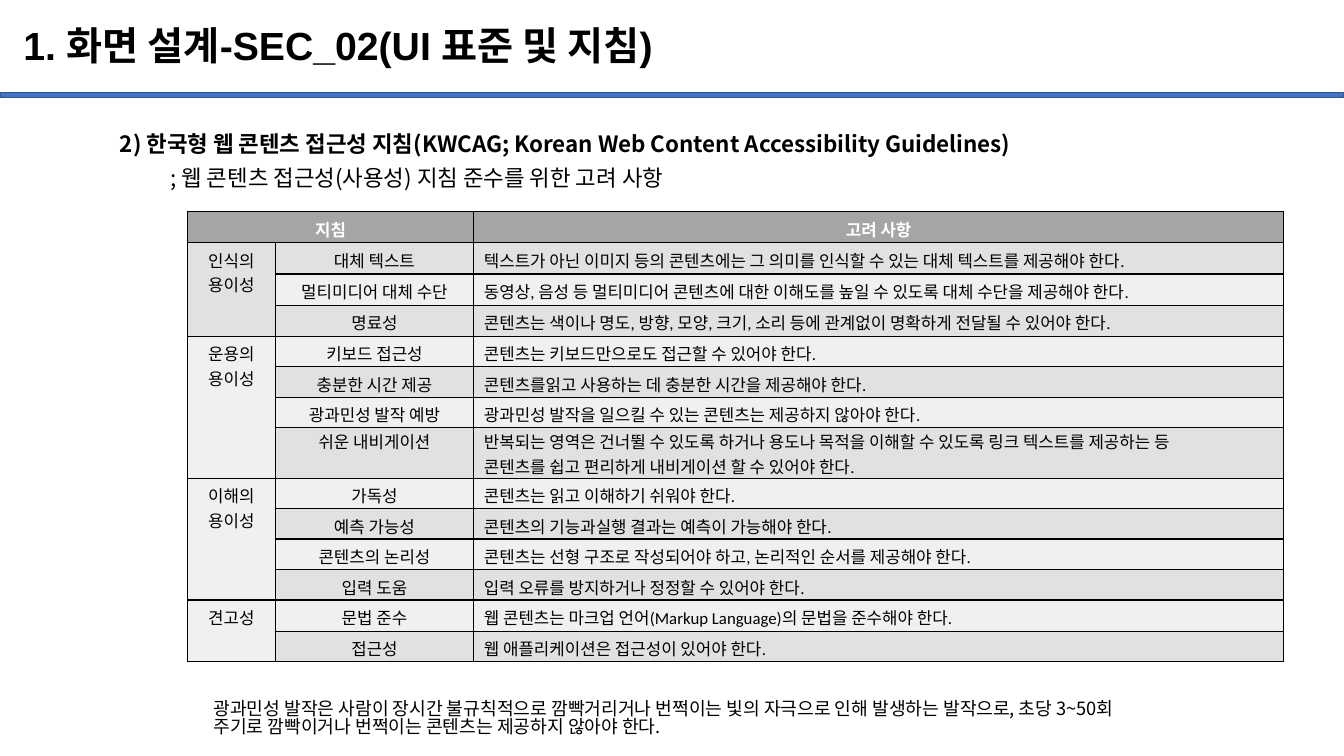
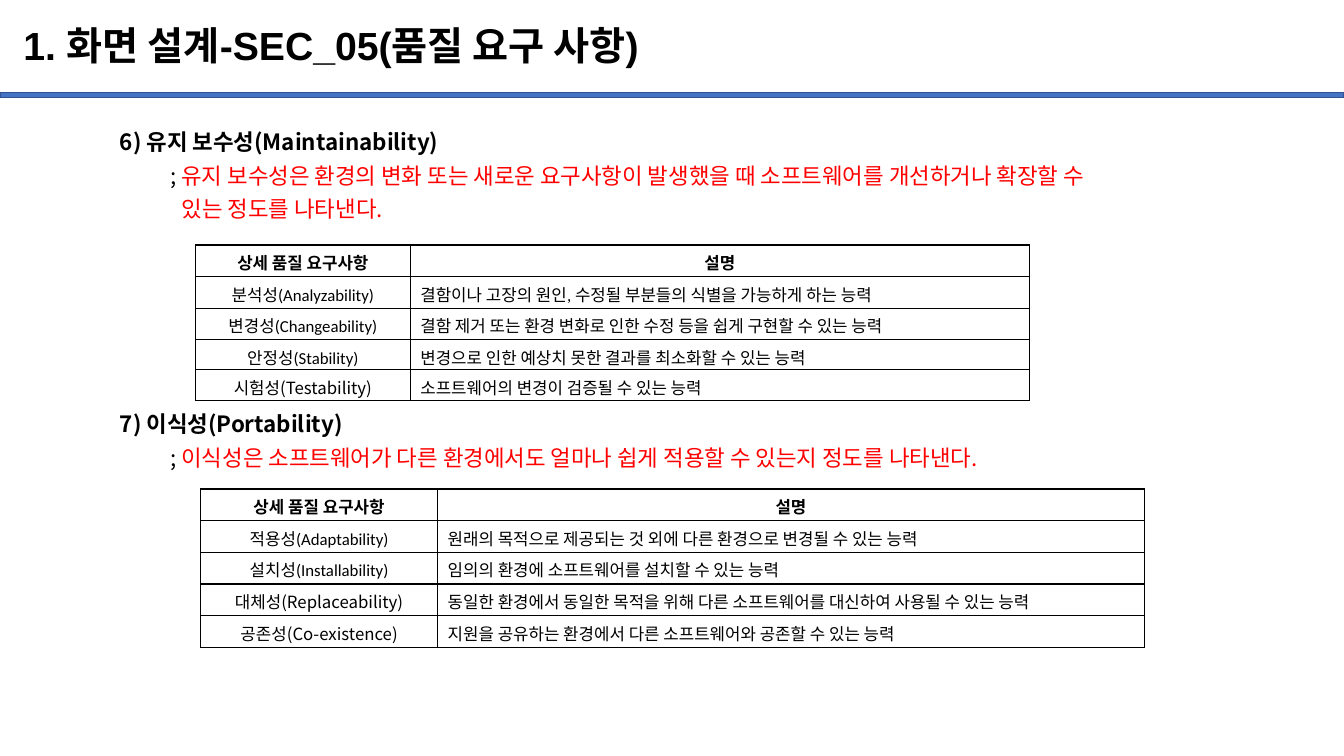
"""Build two Korean screen design slides on UI guidelines and quality requirements."""
from dataclasses import dataclass

import pptx
import pptx.dml.color
import pptx.enum.shapes
import pptx.enum.text
import pptx.oxml.ns
import pptx.util
from lxml import etree

SLIDE_W, SLIDE_H = pptx.util.Inches(13.33), pptx.util.Inches(7.5)
BLACK, WHITE, RED = "000000", "FFFFFF", "FF0000"
BAND, BAND_LINE, HEADER = "4472C4", "325491", "A5A5A5"
ODD_ROW, EVEN_ROW = "E1E1E1", "F0F0F0"
KOREAN, LATIN, TITLE_FONT = "Noto Sans CJK KR", "Calibri", "Arial"
CENTER = pptx.enum.text.PP_ALIGN.CENTER
LEFT = pptx.enum.text.PP_ALIGN.LEFT


@dataclass
class Box:
    """Hold a place on a grid of 100 columns by 100 rows."""
    left: float
    top: float
    width: float
    height: float


@dataclass
class Style:
    """Hold the look of a run."""
    size: float
    font: str = KOREAN
    color: str = BLACK
    bold: bool = False


@dataclass
class Cell:
    """Hold the content and look of a table cell."""
    lines: list[str]
    style: Style
    fill: str = WHITE
    align: pptx.enum.text.PP_ALIGN = LEFT


@dataclass
class Section:
    """Hold a numbered heading with its explanation."""
    box: Box
    heading: str
    lines: list[str]
    color: str = BLACK


@dataclass
class Group:
    """Hold a guideline group with its items and considerations."""
    name: str
    items: list[tuple[str, list[str]]]
    fill: str = EVEN_ROW


@dataclass
class Quality:
    """Hold a table of quality requirements."""
    left: float
    top: float
    cols: list[float]
    heights: list[float]
    rows: list[tuple[str, str]]
    first_korean: int


GUIDES = [
    Group("인식의 용이성", [
        ("대체 텍스트", ["텍스트가 아닌 이미지 등의 콘텐츠에는 그 의미를 인식할 수 있는 대체 텍스트를 제공해야 한다."]),
        ("멀티미디어 대체 수단", ["동영상, 음성 등 멀티미디어 콘텐츠에 대한 이해도를 높일 수 있도록 대체 수단을 제공해야 한다."]),
        ("명료성", ["콘텐츠는 색이나 명도, 방향, 모양, 크기, 소리 등에 관계없이 명확하게 전달될 수 있어야 한다."]),
    ], ODD_ROW),
    Group("운용의 용이성", [
        ("키보드 접근성", ["콘텐츠는 키보드만으로도 접근할 수 있어야 한다."]),
        ("충분한 시간 제공", ["콘텐츠를읽고 사용하는 데 충분한 시간을 제공해야 한다."]),
        ("광과민성 발작 예방", ["광과민성 발작을 일으킬 수 있는 콘텐츠는 제공하지 않아야 한다."]),
        ("쉬운 내비게이션", ["반복되는 영역은 건너뛸 수 있도록 하거나 용도나 목적을 이해할 수 있도록 링크 텍스트를 제공하는 등",
                      "콘텐츠를 쉽고 편리하게 내비게이션 할 수 있어야 한다."]),
    ]),
    Group("이해의 용이성", [
        ("가독성", ["콘텐츠는 읽고 이해하기 쉬워야 한다."]),
        ("예측 가능성", ["콘텐츠의 기능과실행 결과는 예측이 가능해야 한다."]),
        ("콘텐츠의 논리성", ["콘텐츠는 선형 구조로 작성되어야 하고, 논리적인 순서를 제공해야 한다."]),
        ("입력 도움", ["입력 오류를 방지하거나 정정할 수 있어야 한다."]),
    ]),
    Group("견고성", [
        ("문법 준수", ["웹 콘텐츠는 마크업 언어(Markup Language)의 문법을 준수해야 한다."]),
        ("접근성", ["웹 애플리케이션은 접근성이 있어야 한다."]),
    ]),
]
GUIDE_HEIGHTS = [4.13] * 4 + [4.03] * 3 + [6.67] + [4.03] * 4 + [4.13, 4]

NOTE = ["광과민성 발작은 사람이 장시간 불규칙적으로 깜빡거리거나 번쩍이는 빛의 자극으로 인해 발생하는 발작으로, 초당 3~50회",
        "주기로 깜빡이거나 번쩍이는 콘텐츠는 제공하지 않아야 한다."]

ACCESSIBILITY = Section(
    Box(8.18, 15.6, 87.92, 12), "2) 한국형 웹 콘텐츠 접근성 지침(KWCAG; Korean Web Content Accessibility Guidelines)",
    ["웹 콘텐츠 접근성(사용성) 지침 준수를 위한 고려 사항"])
QUALITY_SECTIONS = [
    Section(Box(8.18, 15.33, 87.92, 17), "6) 유지 보수성(Maintainability)",
            ["유지 보수성은 환경의 변화 또는 새로운 요구사항이 발생했을 때 소프트웨어를 개선하거나 확장할 수",
             "있는 정도를 나타낸다."], RED),
    Section(Box(8.18, 52.67, 87.92, 12), "7) 이식성(Portability)",
            ["이식성은 소프트웨어가 다른 환경에서도 얼마나 쉽게 적용할 수 있는지 정도를 나타낸다."], RED),
]
QUALITIES = [
    Quality(14.55, 32.4, [15.98, 46.06], [4.2, 4.2, 4.13, 4, 4], [
        ("분석성(Analyzability)", "결함이나 고장의 원인, 수정될 부분들의 식별을 가능하게 하는 능력"),
        ("변경성(Changeability)", "결함 제거 또는 환경 변화로 인한 수정 등을 쉽게 구현할 수 있는 능력"),
        ("안정성(Stability)", "변경으로 인한 예상치 못한 결과를 최소화할 수 있는 능력"),
        ("시험성(Testability)", "소프트웨어의 변경이 검증될 수 있는 능력"),
    ], 3),
    Quality(14.93, 64.67, [17.63, 52.59], [4.19] * 5, [
        ("적용성(Adaptability)", "원래의 목적으로 제공되는 것 외에 다른 환경으로 변경될 수 있는 능력"),
        ("설치성(Installability)", "임의의 환경에 소프트웨어를 설치할 수 있는 능력"),
        ("대체성(Replaceability)", "동일한 환경에서 동일한 목적을 위해 다른 소프트웨어를 대신하여 사용될 수 있는 능력"),
        ("공존성(Co-existence)", "지원을 공유하는 환경에서 다른 소프트웨어와 공존할 수 있는 능력"),
    ], 2),
]


def rgb(color: str) -> pptx.dml.color.RGBColor:
    """Turn a hex string into a colour."""
    return pptx.dml.color.RGBColor.from_string(color)


def col(n: float) -> int:
    """Measure grid columns."""
    return round(SLIDE_W * n / 100)


def row(n: float) -> int:
    """Measure grid rows."""
    return round(SLIDE_H * n / 100)


def place(box: Box) -> tuple[int, int, int, int]:
    """Turn a grid box into slide lengths."""
    return col(box.left), row(box.top), col(box.width), row(box.height)


def add_run(p, text: str, style: Style) -> None:
    """Add a run with Latin and Korean fonts."""
    r = p.add_run()
    r.text = text
    r.font.size, r.font.bold = pptx.util.Pt(style.size), style.bold
    r.font.color.rgb = rgb(style.color)
    r.font.name = style.font
    etree.SubElement(r.font._element, pptx.oxml.ns.qn("a:ea"), typeface=KOREAN)


def add_paragraph(tf, first: bool):
    """Return the first paragraph of a frame or a new one."""
    return tf.paragraphs[0] if first else tf.add_paragraph()


def add_textbox(s, box: Box):
    """Add a wrapping text box and return its frame."""
    tf = s.shapes.add_textbox(*place(box)).text_frame
    tf.word_wrap = True
    return tf


def add_slide(prs, title: str):
    """Add a slide with the shared title and band."""
    s = prs.slides.add_slide(prs.slide_layouts[5])
    sp = s.shapes.title
    sp.left, sp.top, sp.width, sp.height = place(Box(0.98, 1.33, 86.27, 9.87))
    tf = sp.text_frame
    tf.word_wrap, tf.auto_size = True, pptx.enum.text.MSO_AUTO_SIZE.NONE
    tf.vertical_anchor = pptx.enum.text.MSO_ANCHOR.MIDDLE
    p = tf.paragraphs[0]
    p.alignment, p.line_spacing = LEFT, 0.9
    add_run(p, title, Style(28, TITLE_FONT, bold=True))
    band = s.shapes.add_shape(pptx.enum.shapes.MSO_SHAPE.RECTANGLE, *place(Box(0, 12.27, 100, 0.67)))
    band.shadow.inherit = False
    band.fill.solid()
    band.fill.fore_color.rgb = rgb(BAND)
    band.line.color.rgb, band.line.width = rgb(BAND_LINE), pptx.util.Pt(1)
    return s


def add_section(s, section: Section) -> None:
    """Add a heading and its hanging explanation."""
    tf = add_textbox(s, section.box)
    heading, body = add_paragraph(tf, True), add_paragraph(tf, False)
    heading.line_spacing = body.line_spacing = 1.26
    add_run(heading, section.heading, Style(16, bold=True))
    ppr = body._p.get_or_add_pPr()
    ppr.set("marL", str(col(4.6)))
    ppr.set("indent", str(-col(0.85)))
    add_run(body, "; ", Style(16))
    for i, line in enumerate(section.lines):
        if i:
            body.add_line_break()
        add_run(body, line, Style(16, color=section.color))


def add_borders(tc) -> None:
    """Draw thin black borders round a cell."""
    tcpr = tc._tc.get_or_add_tcPr()
    for side in ("a:lnL", "a:lnR", "a:lnT", "a:lnB"):
        ln = etree.SubElement(tcpr, pptx.oxml.ns.qn(side), w=str(pptx.util.Pt(1)))
        fill = etree.SubElement(ln, pptx.oxml.ns.qn("a:solidFill"))
        etree.SubElement(fill, pptx.oxml.ns.qn("a:srgbClr"), val=BLACK)


def fill_cell(tc, cell: Cell) -> None:
    """Write and colour one cell."""
    tc.fill.solid()
    tc.fill.fore_color.rgb = rgb(cell.fill)
    for i, line in enumerate(cell.lines):
        p = add_paragraph(tc.text_frame, i == 0)
        p.alignment = cell.align
        add_run(p, line, cell.style)
    tc.margin_top = row(0.67 if len(cell.lines) == 1 else 0.2)
    tc.margin_bottom = 0


def add_table(s, left: float, top: float, cols: list[float], heights: list[float]):
    """Add a bordered table without banding."""
    box = Box(left, top, sum(cols), sum(heights))
    tbl = s.shapes.add_table(len(heights), len(cols), *place(box)).table
    tbl.first_row = tbl.horz_banding = False
    for c, width in zip(tbl.columns, cols):
        c.width = col(width)
    for r, height in zip(tbl.rows, heights):
        r.height = row(height)
    for tc in tbl.iter_cells():
        add_borders(tc)
    return tbl


def add_guides(s) -> None:
    """Add the accessibility guideline table."""
    tbl = add_table(s, 13.95, 28, [6.53, 14.78, 60.24], GUIDE_HEIGHTS)
    head, text = Style(12, LATIN, WHITE, True), Style(12, LATIN)
    tbl.cell(0, 0).merge(tbl.cell(0, 1))
    for c, label in ((0, "지침"), (2, "고려 사항")):
        fill_cell(tbl.cell(0, c), Cell([label], head, HEADER, CENTER))
    n = 1
    for group in GUIDES:
        tbl.cell(n, 0).merge(tbl.cell(n + len(group.items) - 1, 0))
        fill_cell(tbl.cell(n, 0), Cell([group.name], text, group.fill, CENTER))
        for item, lines in group.items:
            fill = ODD_ROW if n % 2 else EVEN_ROW
            fill_cell(tbl.cell(n, 1), Cell([item], text, fill, CENTER))
            fill_cell(tbl.cell(n, 2), Cell(lines, text, fill))
            if len(lines) > 1:
                tbl.cell(n, 1).margin_top = tbl.cell(n, 2).margin_top
            n += 1


def add_quality(s, quality: Quality) -> None:
    """Add a quality requirement table."""
    tbl = add_table(s, quality.left, quality.top, quality.cols, quality.heights)
    for c, (label, font) in enumerate((("상세 품질 요구사항", KOREAN), ("설명", LATIN))):
        fill_cell(tbl.cell(0, c), Cell([label], Style(12, font, bold=True), align=CENTER))
    for i, (name, text) in enumerate(quality.rows):
        style = Style(12, KOREAN if i >= quality.first_korean else LATIN)
        fill_cell(tbl.cell(i + 1, 0), Cell([name], style, align=CENTER))
        fill_cell(tbl.cell(i + 1, 1), Cell([text], style))


def main() -> None:
    """Build and save the slides."""
    prs = pptx.Presentation()
    prs.slide_width, prs.slide_height = SLIDE_W, SLIDE_H
    s = add_slide(prs, "1. 화면 설계-SEC_02(UI 표준 및 지침)")
    add_section(s, ACCESSIBILITY)
    add_guides(s)
    tf = add_textbox(s, Box(15.15, 92, 80.95, 7.2))
    for i, line in enumerate(NOTE):
        p = add_paragraph(tf, i == 0)
        p.line_spacing = 0.84
        add_run(p, line, Style(13))
    s = add_slide(prs, "1. 화면 설계-SEC_05(품질 요구 사항)")
    for section, quality in zip(QUALITY_SECTIONS, QUALITIES):
        add_section(s, section)
        add_quality(s, quality)
    prs.save("out.pptx")


if __name__ == "__main__":
    main()
